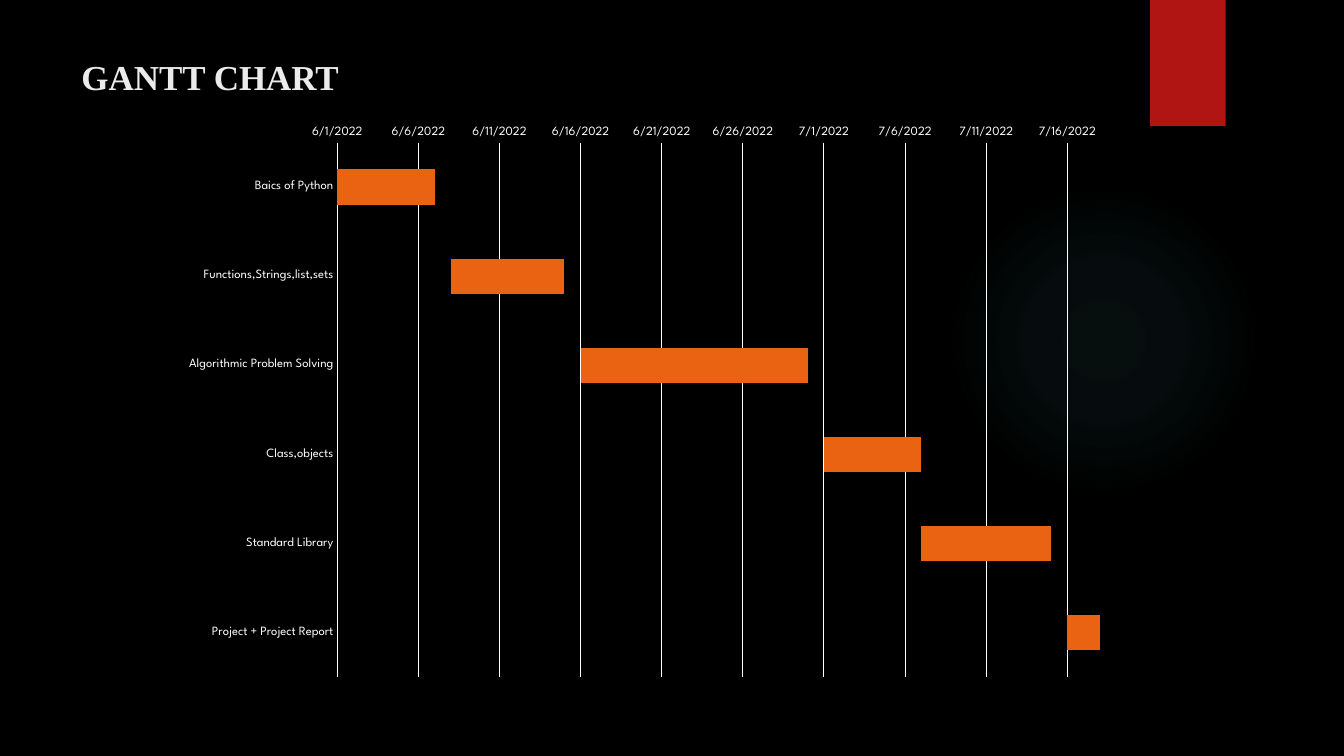
from pptx import Presentation
from pptx.chart.data import CategoryChartData
from pptx.dml.color import RGBColor
from pptx.enum.chart import XL_CHART_TYPE, XL_TICK_MARK
from pptx.enum.shapes import MSO_SHAPE
from pptx.enum.text import MSO_ANCHOR, PP_ALIGN
from pptx.oxml import parse_xml
from pptx.oxml.ns import nsdecls
from pptx.util import Pt

BLACK = RGBColor(0x00, 0x00, 0x00)
WHITE = RGBColor(0xFF, 0xFF, 0xFF)
PALE = RGBColor(0xEB, 0xEB, 0xEB)
RED = RGBColor(0xB0, 0x15, 0x13)
ORANGE = RGBColor(0xEA, 0x63, 0x12)
TEAL = RGBColor(0x50, 0xB9, 0xC1)
HEAD, BODY = "Times New Roman", "League Spartan"

# Task, first day as a date serial (44713 is 6/1/2022), length in days
TASKS = [
    ("Baics of Python", 44713, 6),
    ("Functions,Strings,list,sets", 44720, 7),
    ("Algorithmic Problem Solving", 44728, 14),
    ("Class,objects", 44743, 6),
    ("Standard Library", 44749, 8),
    ("Project + Project Report", 44758, 2),
]
GLOW = [(0, 7), (36, 6), (69, 0)]  # gradient place and opacity, percent


def style(font, **looks):
    color = looks.pop("color")
    for name, value in looks.items():
        setattr(font, name, value)
    font.color.rgb = color


def add_plain(slide, kind, box):
    shape = slide.shapes.add_shape(kind, *map(Pt, box))
    shape.shadow.inherit = False
    shape.line.fill.background()
    return shape


def add_glow(slide, box):
    shape = add_plain(slide, MSO_SHAPE.OVAL, box)
    shape.fill.background()
    stops = "".join(
        f'<a:gs pos="{pos * 1000}"><a:srgbClr val="{TEAL}">'
        f'<a:alpha val="{alpha * 1000}"/></a:srgbClr></a:gs>'
        for pos, alpha in GLOW)
    grad = parse_xml(
        f'<a:gradFill {nsdecls("a")} rotWithShape="1"><a:gsLst>{stops}</a:gsLst>'
        '<a:path path="circle"><a:fillToRect l="50000" t="50000" r="50000" b="50000"/>'
        '</a:path></a:gradFill>')
    blank = shape.element.spPr.find("{*}noFill")
    blank.getparent().replace(blank, grad)


def add_tab(slide, box):
    shape = add_plain(slide, MSO_SHAPE.RECTANGLE, box)
    shape.fill.solid()
    shape.fill.fore_color.rgb = RED


def add_title(slide, box):
    title = slide.shapes.title
    for name, value in zip(("left", "top", "width", "height"), box):
        setattr(title, name, Pt(value))
    frame = title.text_frame
    frame.text = "GANTT CHART"
    frame.vertical_anchor = MSO_ANCHOR.TOP
    line = frame.paragraphs[0]
    line.alignment = PP_ALIGN.LEFT
    style(line.runs[0].font, name=HEAD, size=Pt(25), bold=True, color=PALE)


def add_gantt(slide, box):
    names, starts, days = zip(*TASKS)
    data = CategoryChartData()
    data.categories = names
    data.add_series("Series 1", starts)
    data.add_series("Series 2", days)
    chart = slide.shapes.add_chart(
        XL_CHART_TYPE.BAR_STACKED, *map(Pt, box), data).chart
    chart.has_legend = chart.has_title = False
    style(chart.font, name=BODY, size=Pt(10), color=WHITE)

    # Bars: the starts stay unseen and push the days to the right
    plot = chart.plots[0]
    plot.gap_width, plot.overlap, plot.vary_by_categories = 150, 100, False
    offset, bars = plot.series
    offset.format.fill.background()
    bars.format.fill.solid()
    bars.format.fill.fore_color.rgb = ORANGE

    # Axes: tasks run down, dates run along the top
    tasks, dates = chart.category_axis, chart.value_axis
    for axis in (tasks, dates):
        axis.major_tick_mark = axis.minor_tick_mark = XL_TICK_MARK.NONE
        style(axis.tick_labels.font, name=BODY, size=Pt(9), color=WHITE)
    tasks.reverse_order = True
    dates.minimum_scale, dates.maximum_scale, dates.major_unit = 44713, 44760, 5
    dates.has_major_gridlines = True
    dates.tick_labels.number_format = "m/d/yyyy"
    dates.tick_labels.number_format_is_linked = False
    dates.format.line.fill.background()
    for line in (tasks.format.line, dates.major_gridlines.format.line):
        line.color.rgb, line.width = WHITE, Pt(0.75)

    # Inner plot area as shares of the chart box
    area = chart.element.chart.plotArea
    for old in area.findall("{*}layout"):
        area.remove(old)
    sides = "".join(f'<c:{key} val="{val}"/>' for key, val in (
        ("layoutTarget", "inner"), ("xMode", "edge"), ("yMode", "edge"),
        ("x", 0.176), ("y", 0.047), ("w", 0.804), ("h", 0.933)))
    area.insert(0, parse_xml(
        f'<c:layout {nsdecls("c")}><c:manualLayout>{sides}</c:manualLayout></c:layout>'))


def main():
    deck = Presentation()
    deck.slide_width, deck.slide_height = Pt(960), Pt(540)
    slide = deck.slides.add_slide(deck.slide_layouts[5])
    slide.background.fill.solid()
    slide.background.fill.fore_color.rgb = BLACK
    add_glow(slide, (677.5, 132, 222, 222))
    add_tab(slide, (821.5, 0, 54, 90))
    add_title(slide, (51, 36, 741, 110))
    add_gantt(slide, (121.7, 82.8, 677.5, 409))
    deck.save("out.pptx")


if __name__ == "__main__":
    main()
